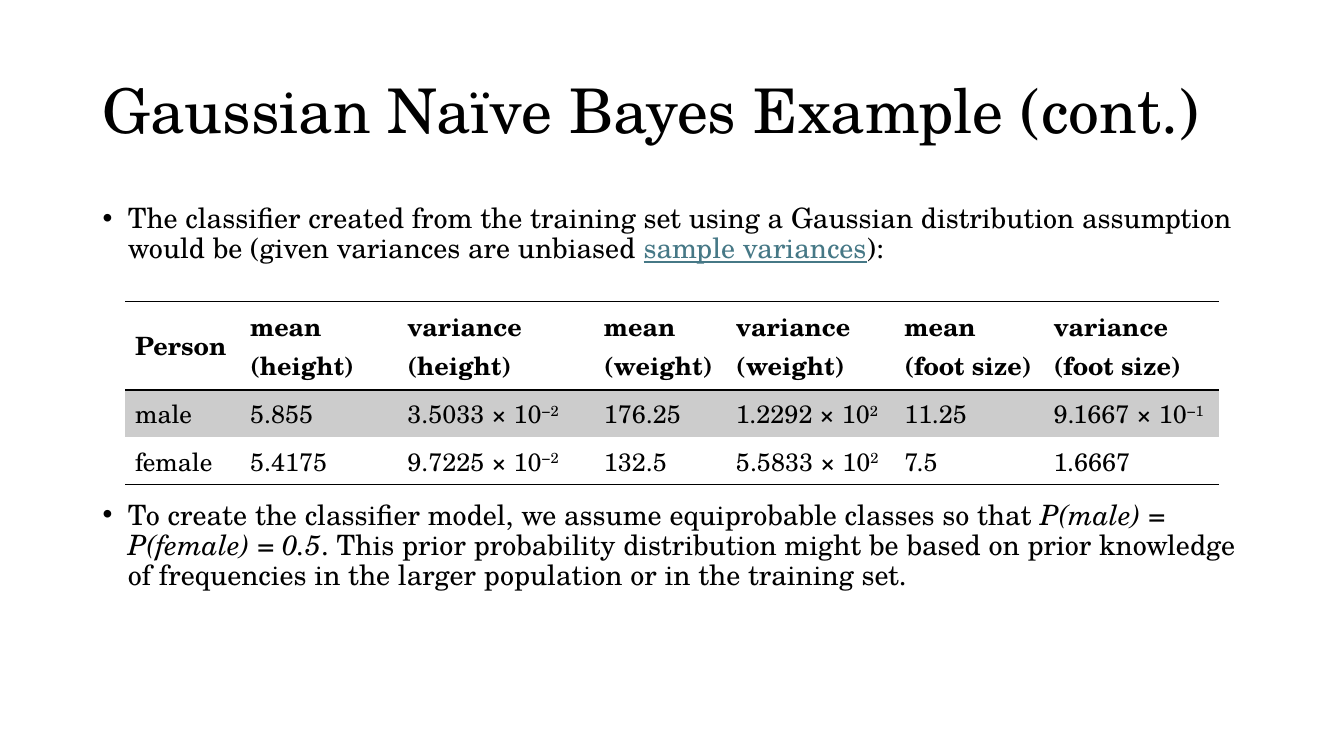
import pptx
import pptx.util
import pptx.dml.color
import pptx.enum.text
from lxml import etree
from pptx.oxml.ns import qn
from pptx.util import Inches, Pt

# Content: a run is (text, style); style is "", "bold", "italic", "link" or "super"
TITLE = [("Gaussian Naïve Bayes Example (cont.)", "")]
BULLETS = [
    (1.98, 0.9, [
        ("The classifier created from the training set using a Gaussian distribution "
         "assumption would be (given variances are unbiased ", ""),
        ("sample variances", "link"), ("):", "")]),
    (4.92, 1.4, [
        ("To create the classifier model, we assume equiprobable classes so that ", ""),
        ("P(male) ", "italic"), ("= ", ""), ("P(female)", "italic"), (" = ", ""),
        ("0.5", "italic"),
        (". This prior probability distribution might be based on prior knowledge "
         "of frequencies in the larger population or in the training set.", "")]),
]
HEADER = ["Person", "mean (height)", "variance (height)", "mean (weight)",
          "variance (weight)", "mean (foot size)", "variance (foot size)"]
# A caret separates a power of ten from its exponent
STATISTICS = [
    ["male", "5.855", "3.5033 × 10^−2", "176.25", "1.2292 × 10^2", "11.25", "9.1667 × 10^−1"],
    ["female", "5.4175", "9.7225 × 10^−2", "132.5", "5.5833 × 10^2", "7.5", "1.6667"],
]
COLUMN_WIDTHS = [1.14, 1.56, 1.95, 1.31, 1.67, 1.48, 1.74]
ROW_HEIGHTS = [0.88, 0.47, 0.47]
# Ruled sides of each row, with line widths in points
RULES = [{"lnT": 1, "lnB": 1.5}, {"lnT": 1.5}, {"lnB": 1}]

FONT = "TeX Gyre Schola"
BLACK, LINK, BAND = "000000", "467886", "CCCCCC"
LEFT, WIDTH = 0.92, 11.5
LINE_SPACING = 0.9


def color(hex_string):
    return pptx.dml.color.RGBColor.from_string(hex_string)


def add_runs(paragraph, runs, size):
    for text, style in runs:
        run = paragraph.add_run()
        run.text = text
        font = run.font
        font.name, font.size = FONT, Pt(size)
        font.color.rgb = color(LINK if style == "link" else BLACK)
        font.bold = style == "bold"
        font.italic = style == "italic"
        font.underline = style == "link"
        if style == "super":
            run._r.get_or_add_rPr().set("baseline", "30000")


def add_text(top, height, runs, size, bullet=False):
    frame = slide.shapes.add_textbox(
        Inches(LEFT), Inches(top), Inches(WIDTH), Inches(height)).text_frame
    frame.word_wrap = True
    paragraph = frame.paragraphs[0]
    paragraph.line_spacing = LINE_SPACING
    if bullet:
        properties = paragraph._p.get_or_add_pPr()
        properties.set("marL", str(Inches(0.25)))
        properties.set("indent", str(-Inches(0.25)))
        etree.SubElement(properties, qn("a:buFont")).set("typeface", "Arial")
        etree.SubElement(properties, qn("a:buChar")).set("char", "•")
    add_runs(paragraph, runs, size)
    return frame


def set_borders(cell, rules):
    properties = cell._tc.get_or_add_tcPr()
    for side in ("lnL", "lnR", "lnT", "lnB"):
        line = etree.SubElement(properties, qn("a:" + side))
        if side in rules:
            line.set("w", str(Pt(rules[side])))
            fill = etree.SubElement(line, qn("a:solidFill"))
            etree.SubElement(fill, qn("a:srgbClr")).set("val", BLACK)
        else:
            etree.SubElement(line, qn("a:noFill"))


presentation = pptx.Presentation()
presentation.slide_width, presentation.slide_height = Inches(13.33), Inches(7.5)
slide = presentation.slides.add_slide(presentation.slide_layouts[6])

# Title and bullets
title = add_text(0.4, 1.45, TITLE, 44)
title.vertical_anchor = pptx.enum.text.MSO_ANCHOR.MIDDLE
for top, height, runs in BULLETS:
    add_text(top, height, runs, 20, bullet=True)

# Table of class statistics
rows = [HEADER] + STATISTICS
statistics = slide.shapes.add_table(
    len(rows), len(HEADER), Inches(1.24), Inches(2.99),
    Inches(sum(COLUMN_WIDTHS)), Inches(sum(ROW_HEIGHTS))).table
statistics.first_row = statistics.horz_banding = False
for column, width in zip(statistics.columns, COLUMN_WIDTHS):
    column.width = Inches(width)
for row_index, values in enumerate(rows):
    statistics.rows[row_index].height = Inches(ROW_HEIGHTS[row_index])
    for column_index, value in enumerate(values):
        cell = statistics.cell(row_index, column_index)
        cell.vertical_anchor = pptx.enum.text.MSO_ANCHOR.MIDDLE
        set_borders(cell, RULES[row_index])
        if row_index == 1:
            cell.fill.solid()
            cell.fill.fore_color.rgb = color(BAND)
        else:
            cell.fill.background()
        base, _, exponent = value.partition("^")
        runs = [(base, "" if row_index else "bold")]
        if exponent:
            runs.append((exponent, "super"))
        add_runs(cell.text_frame.paragraphs[0], runs, 18)

presentation.save("out.pptx")
